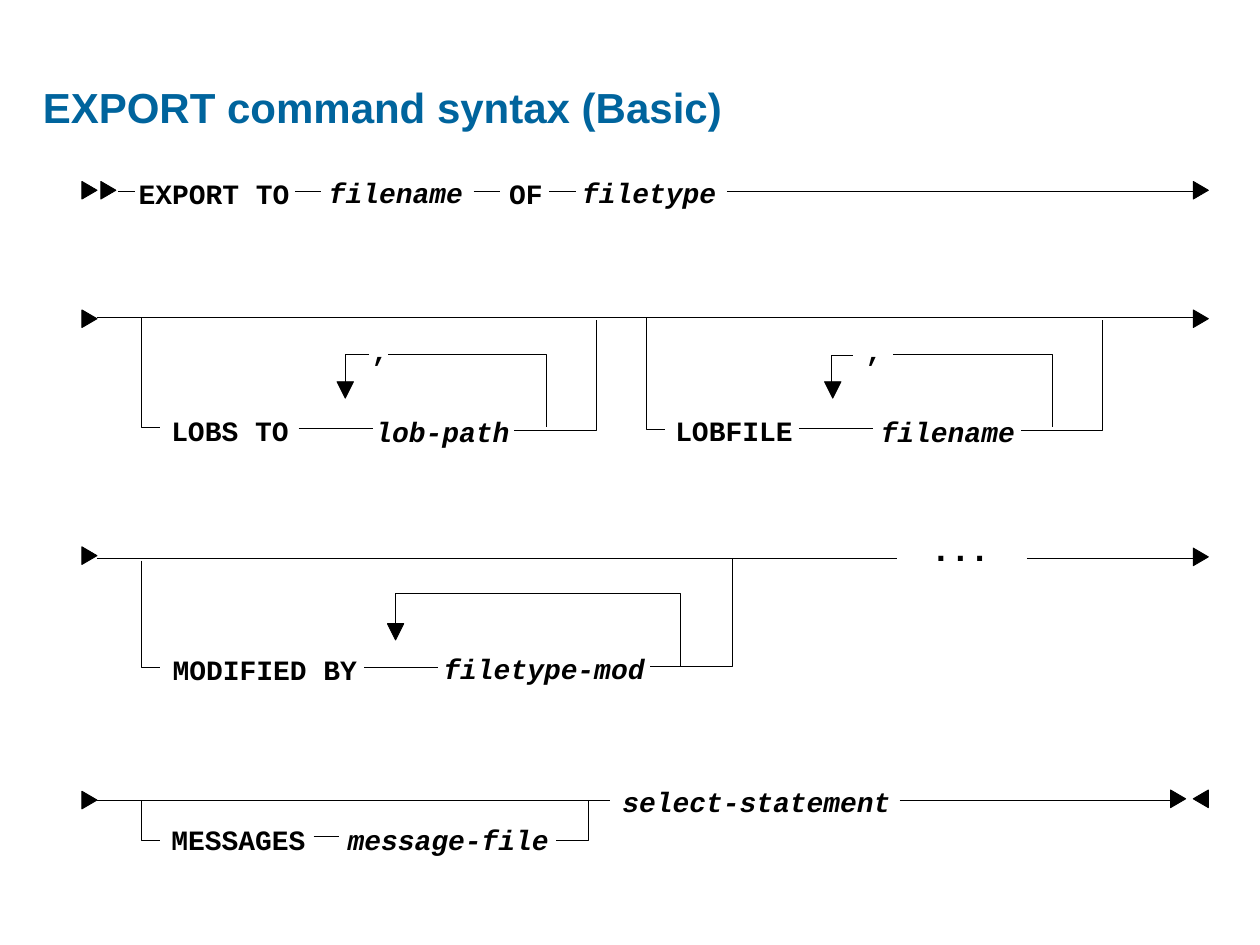
from typing import NamedTuple

from lxml import etree
from pptx import Presentation
from pptx.dml.color import RGBColor
from pptx.enum import shapes, text
from pptx.oxml import ns
from pptx.util import Inches, Pt

BLACK = RGBColor(0x00, 0x00, 0x00)
TITLE_BLUE = RGBColor(0x00, 0x64, 0x9D)
LINE_WIDTH = Pt(0.5)
CODE_FONT, TITLE_FONT = "Courier New", "Arial"
CODE_SIZE, DOTS_SIZE, TITLE_SIZE = 16, 20, 24
CODE_PITCH = 0.6 * CODE_SIZE / 72  # inches per fixed-width letter
CODE_SLACK = 0.01
START_X, END_X = 0.65, 9.47
ARROW_LENGTH, ARROW_WIDTH = 0.12, 0.14
HEAD_SIZE = 0.13
BRANCH_X, STUB = 1.12, 0.15


class Label(NamedTuple):
    words: str
    x: float
    y: float
    italic: bool = False


class Track(NamedTuple):
    """A straight piece of the syntax path."""
    x1: float
    x2: float
    y: float


class Arrow(NamedTuple):
    """A triangle placed by its left edge and middle height."""
    x: float
    y: float
    left: bool = False


class Head(NamedTuple):
    """A downward triangle placed by its tip."""
    x: float
    y: float


class Polyline(NamedTuple):
    points: list[tuple[float, float]]


def branch(x: float, top: float, bottom: float) -> Polyline:
    """Leave the main path downwards, ending in a short stub."""
    return Polyline([(x, top), (x, bottom), (x + STUB, bottom)])


def rejoin(x: float, top: float, bottom: float, length: float) -> Polyline:
    """Return to the main path from the end of an option."""
    return Polyline([(x, top), (x, bottom), (x - length, bottom)])


LABELS = [
    Label("EXPORT TO", 1.1, 1.4),
    Label("filename", 2.61, 1.39, True),
    Label("OF", 4.04, 1.4),
    Label("filetype", 4.62, 1.39, True),
    Label("LOBS TO", 1.36, 3.28),
    Label("lob-path", 2.98, 3.29, True),
    Label(",", 2.95, 2.65),
    Label("LOBFILE", 5.36, 3.28),
    Label("filename", 6.99, 3.29, True),
    Label(",", 6.87, 2.65),
    Label("MODIFIED BY", 1.37, 5.18),
    Label("filetype-mod", 3.52, 5.17, True),
    Label("MESSAGES", 1.36, 6.53),
    Label("message-file", 2.76, 6.53, True),
    Label("select-statement", 4.94, 6.23, True),
]

TRACKS = [
    Track(0.94, 1.07, 1.52),
    Track(2.34, 2.55, 1.52),
    Track(3.76, 3.97, 1.52),
    Track(4.36, 4.57, 1.52),
    Track(5.77, END_X, 1.52),
    Track(0.77, END_X, 2.52),
    Track(2.37, 2.96, 3.4),
    Track(6.34, 6.93, 3.4),
    Track(0.77, 7.12, 4.43),
    Track(8.15, END_X, 4.43),
    Track(2.89, 3.48, 5.3),
    Track(0.77, 4.84, 6.35),
    Track(7.14, 9.29, 6.35),
    Track(2.49, 2.69, 6.64),
]

ARROWS = [
    Arrow(START_X, 1.51), Arrow(0.8, 1.51), Arrow(END_X, 1.51),
    Arrow(START_X, 2.53), Arrow(END_X, 2.53),
    Arrow(START_X, 4.41), Arrow(END_X, 4.42),
    Arrow(START_X, 6.35), Arrow(9.29, 6.34), Arrow(END_X, 6.34, left=True),
]

HEADS = [Head(2.74, 3.16), Head(6.61, 3.16), Head(3.14, 5.08)]

POLYLINES = [
    branch(BRANCH_X, 2.52, 3.39),
    branch(5.13, 2.52, 3.41),
    branch(BRANCH_X, 4.45, 5.3),
    branch(BRANCH_X, 6.36, 6.67),
    rejoin(4.73, 2.54, 3.42, 0.65),
    rejoin(8.75, 2.54, 3.42, 0.65),
    rejoin(5.81, 4.44, 5.29, 0.65),
    rejoin(4.67, 6.36, 6.67, 0.26),
    Polyline([(3.08, 2.81), (4.34, 2.81), (4.34, 3.39)]),
    Polyline([(7.09, 2.81), (8.35, 2.81), (8.35, 3.39)]),
    Polyline([(2.93, 2.81), (2.74, 2.81), (2.74, 3.12)]),
    Polyline([(6.77, 2.82), (6.6, 2.82), (6.6, 3.13)]),
    Polyline([(3.14, 5.01), (3.14, 4.71), (5.4, 4.71), (5.4, 5.29)]),
]


def draw_outline(s, points: list[tuple[float, float]], solid: bool = False) -> None:
    """Draw an open black line, or a closed black area if solid."""
    start, *rest = [(Inches(x), Inches(y)) for x, y in points]
    builder = s.shapes.build_freeform(*start)
    builder.add_line_segments(rest, close=solid)
    sp = builder.convert_to_shape()
    sp.shadow.inherit = False
    sp.line.color.rgb = BLACK
    sp.line.width = LINE_WIDTH
    if solid:
        sp.fill.solid()
        sp.fill.fore_color.rgb = BLACK
    else:
        sp.fill.background()


def draw_arrow(s, arrow: Arrow) -> None:
    base, tip = arrow.x, arrow.x + ARROW_LENGTH
    if arrow.left:
        base, tip = tip, base
    half = ARROW_WIDTH / 2
    draw_outline(s, [(base, arrow.y - half), (tip, arrow.y), (base, arrow.y + half)], True)


def draw_head(s, head: Head) -> None:
    half, top = HEAD_SIZE / 2, head.y - HEAD_SIZE
    draw_outline(s, [(head.x + half, top), (head.x, head.y), (head.x - half, top)], True)


def draw_track(s, track: Track) -> None:
    y = Inches(track.y)
    line = s.shapes.add_connector(
        shapes.MSO_CONNECTOR.STRAIGHT, Inches(track.x1), y, Inches(track.x2), y)
    line.line.color.rgb = BLACK
    line.line.width = LINE_WIDTH
    etree.SubElement(line._element.spPr, ns.qn("a:effectLst"))


def format_run(r, name: str, size: float, color: RGBColor, italic: bool = False) -> None:
    r.font.name, r.font.size = name, Pt(size)
    r.font.bold, r.font.italic = True, italic
    r.font.color.rgb = color


def add_text(s, label: Label, width: float, height: float, name: str, size: float,
             margin_x: float = 0, margin_y: float = 0) -> None:
    box = s.shapes.add_textbox(
        Inches(label.x), Inches(label.y), Inches(width), Inches(height))
    tf = box.text_frame
    tf.margin_left = tf.margin_right = Inches(margin_x)
    tf.margin_top = tf.margin_bottom = Inches(margin_y)
    tf.word_wrap = False
    tf.auto_size = text.MSO_AUTO_SIZE.SHAPE_TO_FIT_TEXT
    tf.text = label.words
    format_run(tf.paragraphs[0].runs[0], name, size, BLACK, label.italic)


def add_code(s, label: Label) -> None:
    width = len(label.words) * CODE_PITCH + CODE_SLACK
    add_text(s, label, width, 0.27, CODE_FONT, CODE_SIZE)


def add_title(s, words: str) -> None:
    title = s.shapes.title
    title.left, title.top = Inches(0.24), Inches(0.5)
    title.width, title.height = Inches(9.66), Inches(0.7)
    tf = title.text_frame
    tf.text = words
    tf.vertical_anchor = text.MSO_ANCHOR.MIDDLE
    p = tf.paragraphs[0]
    p.alignment = text.PP_ALIGN.LEFT
    format_run(p.runs[0], TITLE_FONT, TITLE_SIZE, TITLE_BLUE)


def main() -> None:
    prs = Presentation()
    prs.slide_width, prs.slide_height = Inches(10), Inches(7.5)
    s = prs.slides.add_slide(prs.slide_layouts[5])
    add_title(s, "EXPORT command syntax (Basic)")
    for draw, items in ((draw_track, TRACKS), (draw_arrow, ARROWS),
                        (draw_head, HEADS), (add_code, LABELS)):
        for item in items:
            draw(s, item)
    for polyline in POLYLINES:
        draw_outline(s, polyline.points)
    add_text(s, Label(". . .", 7.28, 4.11), 0.7, 0.48, TITLE_FONT, DOTS_SIZE, 0.15, 0.07)
    prs.save("out.pptx")


if __name__ == "__main__":
    main()
